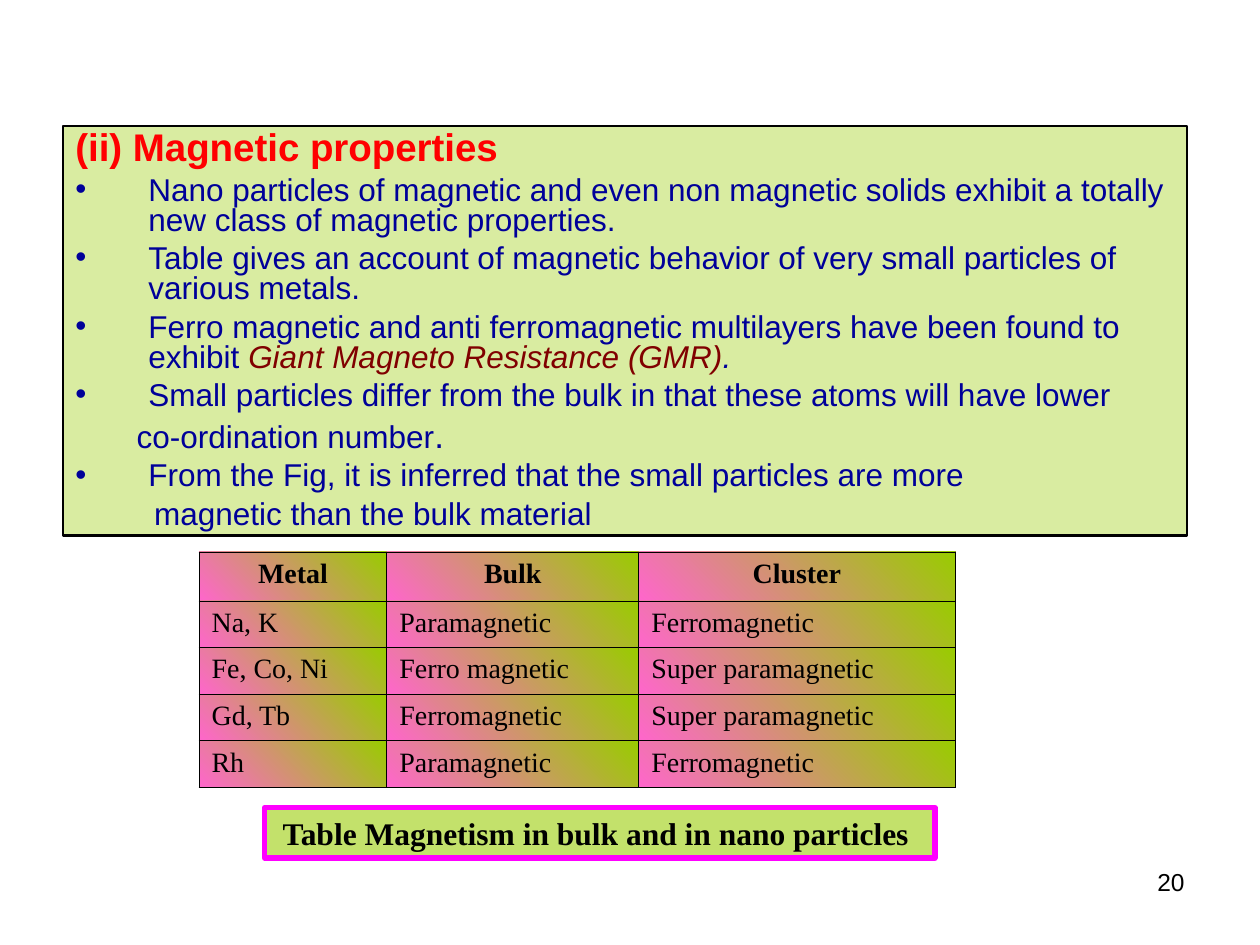
"""Build the slide on magnetic properties of nano particles."""
from dataclasses import dataclass

from lxml.etree import SubElement
from pptx import Presentation
from pptx.dml.color import RGBColor
from pptx.enum.shapes import MSO_SHAPE
from pptx.enum.text import MSO_ANCHOR, MSO_AUTO_SIZE, PP_ALIGN
from pptx.oxml.ns import qn
from pptx.util import Pt

BLACK = RGBColor(0x00, 0x00, 0x00)
RED = RGBColor(0xFF, 0x00, 0x00)
NAVY = RGBColor(0x00, 0x00, 0x99)
MAROON = RGBColor(0x80, 0x00, 0x00)
GREEN = RGBColor(0x99, 0xCC, 0x00)
MAGENTA = RGBColor(0xFF, 0x00, 0xFF)
PINK = RGBColor(0xFF, 0x66, 0xCC)
SANS, SERIF = "Arial", "Times New Roman"
HANGING = 41.76


@dataclass(frozen=True)
class Span:
    text: str
    color: RGBColor | None = None
    italic: bool | None = None
    size: float | None = None


@dataclass(frozen=True)
class Line:
    spans: tuple[Span, ...]
    bullet: bool = True
    indent: float = HANGING
    size: float = 18
    color: RGBColor = NAVY
    bold: bool = False
    before: float = 4.5


@dataclass(frozen=True)
class Panel:
    left: float
    top: float
    width: float
    height: float
    opacity: int
    border: RGBColor
    border_width: float


LINES = (
    Line((Span("(ii) Magnetic properties"),), False, 0, 22, RED, True, 5.5),
    Line((Span("Nano particles of magnetic and even non magnetic solids exhibit "
               "a totally new class of magnetic properties."),)),
    Line((Span("Table gives an account of magnetic behavior of very small "
               "particles of various metals."),)),
    Line((Span("Ferro magnetic and anti ferromagnetic multilayers have been "
               "found to exhibit "),
          Span("Giant Magneto Resistance (GMR)", MAROON, True),
          Span(".", italic=True))),
    Line((Span("Small particles differ from the bulk in that these atoms will "
               "have lower"),)),
    Line((Span("co-ordination number"), Span(".", size=20)), False, 35, before=5),
    Line((Span("From the Fig, it is inferred that the small particles are more"),)),
    Line((Span("magnetic than the bulk material"),), False, 45),
)
METALS = (
    ("Metal", "Bulk", "Cluster"),
    ("Na, K", "Paramagnetic", "Ferromagnetic"),
    ("Fe, Co, Ni", "Ferro magnetic", "Super paramagnetic"),
    ("Gd, Tb", "Ferromagnetic", "Super paramagnetic"),
    ("Rh", "Paramagnetic", "Ferromagnetic"),
)
COLUMN_WIDTHS = (107.28, 144, 180.72)
ROW_HEIGHTS = (28.08,) + (26.64,) * 4


def set_font(font, name: str, size: float, color: RGBColor, bold: bool = False) -> None:
    font.name, font.size, font.bold = name, Pt(size), bold
    font.color.rgb = color


def add_panel(page, panel: Panel):
    box = page.shapes.add_shape(MSO_SHAPE.RECTANGLE, Pt(panel.left), Pt(panel.top),
                                Pt(panel.width), Pt(panel.height))
    box.shadow.inherit = False
    box.fill.solid()
    box.fill.fore_color.rgb = GREEN
    tint = box.element.spPr.find(f"{qn('a:solidFill')}/{qn('a:srgbClr')}")
    SubElement(tint, qn("a:alpha"), val=str(panel.opacity * 1000))
    box.line.color.rgb = panel.border
    box.line.width = Pt(panel.border_width)
    box.text_frame.word_wrap = True
    return box


def add_line(para, line: Line) -> None:
    para.alignment = PP_ALIGN.LEFT
    para.line_spacing = 0.8
    para.space_before = Pt(line.before)
    properties = para._p.get_or_add_pPr()
    properties.set("marL", str(Pt(line.indent)))
    properties.set("indent", str(Pt(-HANGING if line.bullet else 0)))
    if line.bullet:
        tint = SubElement(properties, qn("a:buClr"))
        SubElement(tint, qn("a:srgbClr"), val=str(NAVY))
        SubElement(properties, qn("a:buFont"), typeface=SANS)
        SubElement(properties, qn("a:buChar"), char="•")
    set_font(para.font, SANS, line.size, line.color, line.bold)
    for span in line.spans:
        run = para.add_run()
        run.text = span.text
        run.font.italic = span.italic
        if span.color is not None:
            run.font.color.rgb = span.color
        if span.size is not None:
            run.font.size = Pt(span.size)


def style_cell(cell, text: str, heading: bool) -> None:
    cell.text = text
    para = cell.text_frame.paragraphs[0]
    para.alignment = PP_ALIGN.CENTER if heading else PP_ALIGN.LEFT
    set_font(para.font, SERIF, 16, BLACK, heading)
    properties = cell._tc.get_or_add_tcPr()
    for side in ("lnL", "lnR", "lnT", "lnB"):
        border = SubElement(properties, qn(f"a:{side}"), w=str(Pt(0.45)))
        SubElement(SubElement(border, qn("a:solidFill")), qn("a:srgbClr"), val=str(BLACK))
    cell.fill.gradient()
    cell.fill.gradient_angle = 45
    for stop, color in zip(cell.fill.gradient_stops, (PINK, GREEN)):
        stop.color.rgb = color


def add_metal_table(page) -> None:
    table = page.shapes.add_table(len(METALS), len(COLUMN_WIDTHS), Pt(113.76), Pt(315.36),
                                  Pt(sum(COLUMN_WIDTHS)), Pt(sum(ROW_HEIGHTS))).table
    for column, width in zip(table.columns, COLUMN_WIDTHS):
        column.width = Pt(width)
    for index, (row, height, texts) in enumerate(zip(table.rows, ROW_HEIGHTS, METALS)):
        row.height = Pt(height)
        for cell, text in zip(row.cells, texts):
            style_cell(cell, text, index == 0)


def main() -> None:
    deck = Presentation()
    deck.slide_width, deck.slide_height = Pt(720), Pt(540)
    page = deck.slides.add_slide(deck.slide_layouts[6])

    number = page.shapes.add_textbox(Pt(516.24), Pt(491.76), Pt(167.76), Pt(37.44))
    number.text_frame.word_wrap = True
    para = number.text_frame.paragraphs[0]
    para.text, para.alignment = "20", PP_ALIGN.RIGHT
    set_font(para.font, SANS, 14, BLACK)

    frame = add_panel(page, Panel(36, 72, 642.24, 234, 37, BLACK, 1.5)).text_frame
    frame.vertical_anchor = MSO_ANCHOR.TOP
    for index, line in enumerate(LINES):
        add_line(frame.add_paragraph() if index else frame.paragraphs[0], line)

    frame = add_panel(page, Panel(151.2, 461.52, 383.04, 28.8, 58, MAGENTA, 3)).text_frame
    frame.auto_size = MSO_AUTO_SIZE.SHAPE_TO_FIT_TEXT
    para = frame.paragraphs[0]
    para.text = "Table Magnetism in bulk and in nano particles "
    para.alignment = PP_ALIGN.CENTER
    set_font(para.font, SERIF, 18, BLACK, True)

    add_metal_table(page)
    deck.save("out.pptx")


if __name__ == "__main__":
    main()
